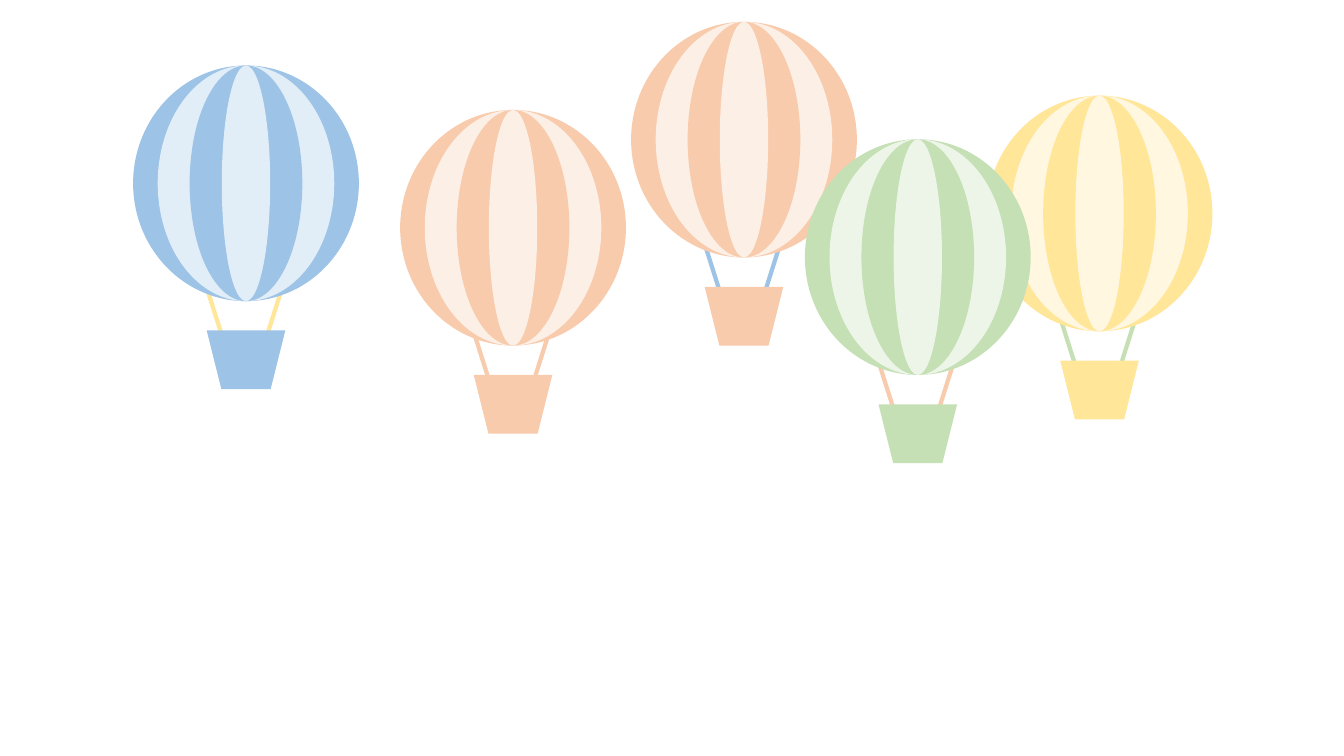
from dataclasses import dataclass

from lxml.etree import SubElement
from pptx import Presentation
from pptx.dml.color import RGBColor
from pptx.enum.shapes import MSO_CONNECTOR, MSO_SHAPE
from pptx.oxml.ns import qn
from pptx.util import Cm, Pt


@dataclass(frozen=True)
class Theme:
    blue: str = "9DC3E6"
    peach: str = "F8CBAD"
    yellow: str = "FFE699"
    green: str = "C5E0B4"
    white: str = "FFFFFF"
    stripe_opacity: int = 70
    rope_width: int = 3


THEME = Theme()
ENVELOPE_HEIGHT = 5.94
STRIPE_WIDTHS = (5.69, 4.45, 2.84, 1.22)
BASKET_WIDTH, BASKET_HEIGHT, BASKET_DROP = 1.98, 1.48, 6.68
ROPE_START, ROPE_END = 5.6, 6.8
ROPE_SHIFT, ROPE_TOP_SPREAD, ROPE_BOTTOM_SPREAD = -0.04, 0.95, 0.57

BALLOONS = (
    (12.93, 2.77, THEME.peach, THEME.peach),
    (18.75, 0.55, THEME.peach, THEME.blue),
    (27.71, 2.41, THEME.yellow, THEME.green),
    (23.13, 3.51, THEME.green, THEME.peach),
    (6.2, 1.65, THEME.blue, THEME.yellow),
)


def add_filled(group, kind, center, top, width, height, color):
    shape = group.shapes.add_shape(
        kind, Cm(center - width / 2), Cm(top), Cm(width), Cm(height)
    )
    shape.shadow.inherit = False
    shape.fill.solid()
    shape.fill.fore_color.rgb = RGBColor.from_string(color)
    shape.line.fill.background()
    return shape


def set_opacity(shape, percent):
    color = shape._element.spPr.find(qn("a:solidFill"))[0]
    SubElement(color, qn("a:alpha")).set("val", str(percent * 1000))


def add_rope(group, center, top, side, color):
    middle = center + ROPE_SHIFT
    rope = group.shapes.add_connector(
        MSO_CONNECTOR.STRAIGHT,
        Cm(middle + side * ROPE_TOP_SPREAD), Cm(top + ROPE_START),
        Cm(middle + side * ROPE_BOTTOM_SPREAD), Cm(top + ROPE_END),
    )
    rope.line.color.rgb = RGBColor.from_string(color)
    rope.line.width = Pt(THEME.rope_width)
    SubElement(rope._element.spPr, qn("a:effectLst"))


def add_envelope(group, center, top, color):
    for index, width in enumerate(STRIPE_WIDTHS):
        pale = index % 2 == 1
        stripe = add_filled(
            group, MSO_SHAPE.OVAL, center, top, width, ENVELOPE_HEIGHT,
            THEME.white if pale else color,
        )
        if pale:
            set_opacity(stripe, THEME.stripe_opacity)


def add_basket(group, center, top, color):
    basket = add_filled(
        group, MSO_SHAPE.TRAPEZOID, center, top + BASKET_DROP,
        BASKET_WIDTH, BASKET_HEIGHT, color,
    )
    basket._element.spPr.get_or_add_xfrm().set("flipV", "1")


def add_balloon(page, center, top, color, rope_color):
    group = page.shapes.add_group_shape()
    for side in (-1, 1):
        add_rope(group, center, top, side, rope_color)
    add_envelope(group, center, top, color)
    add_basket(group, center, top, color)


def main():
    deck = Presentation()
    deck.slide_width, deck.slide_height = Cm(33.87), Cm(19.05)
    page = deck.slides.add_slide(deck.slide_layouts[6])
    for balloon in BALLOONS:
        add_balloon(page, *balloon)
    deck.save("out.pptx")


if __name__ == "__main__":
    main()
